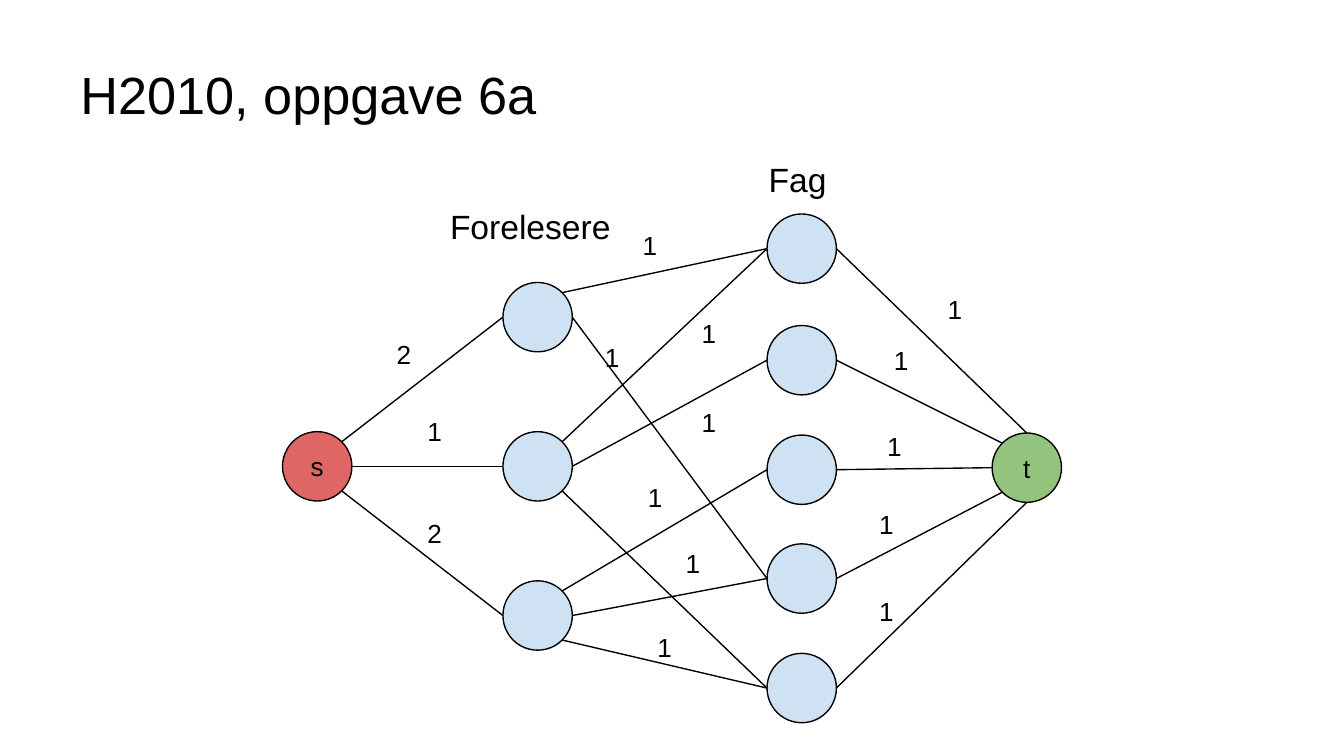
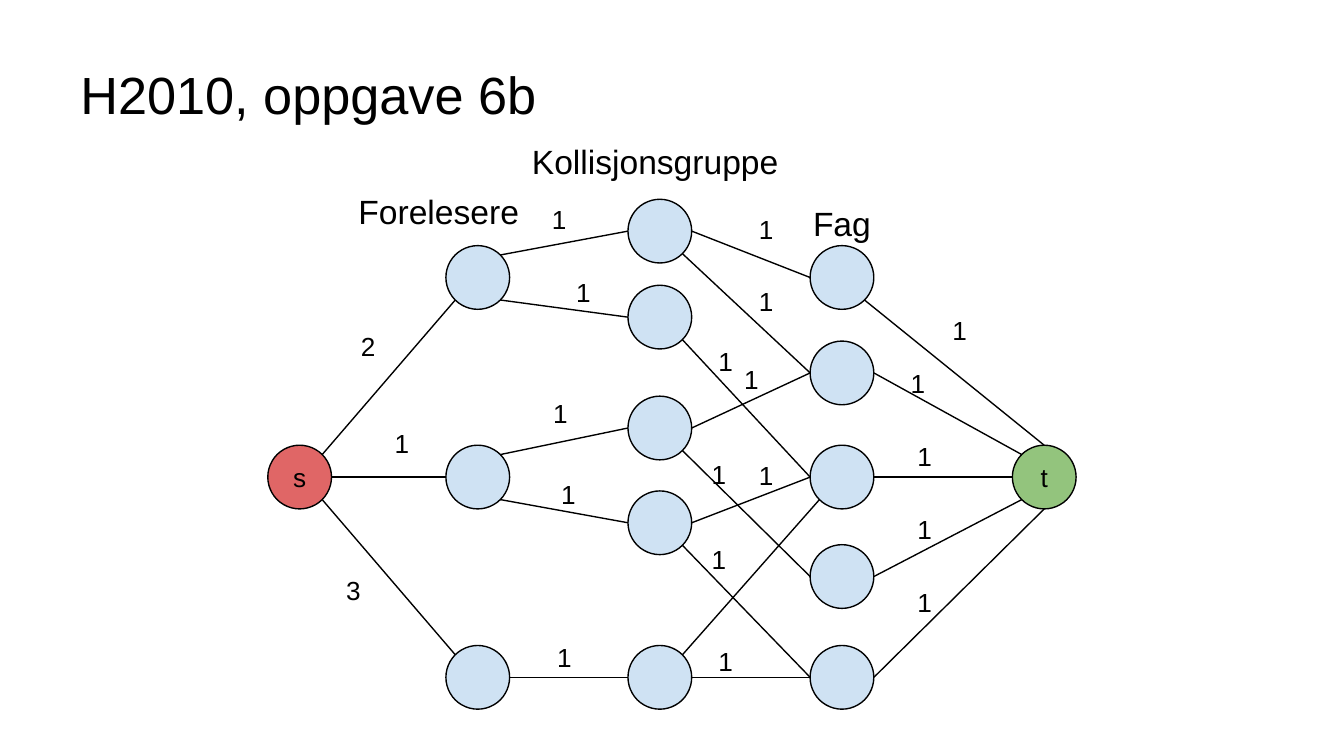
"""Build two flow network slides for H2010, tasks 6a and 6b."""
from dataclasses import dataclass
from math import cos, radians, sin
from typing import NamedTuple

from lxml import etree
from pptx import Presentation
from pptx.dml.color import RGBColor
from pptx.enum import shapes, text
from pptx.oxml.ns import qn
from pptx.util import Inches, Pt

COLS, ROWS = 100, 56.25
WIDE, HIGH = Inches(10), Inches(5.625)
LEFT, MID = text.PP_ALIGN.LEFT, text.PP_ALIGN.CENTER
TURNS = {"e": 0, "se": 45, "s": 90, "sw": 135, "w": 180, "nw": 225, "n": 270, "ne": 315}


@dataclass(frozen=True)
class Theme:
    font: str = "Arial"
    ink: str = "000000"
    source: str = "E06666"
    sink: str = "93C47D"
    node: str = "CFE2F3"
    title: int = 28
    head: int = 18
    label: int = 14
    line: float = 0.75


class Box(NamedTuple):
    left: float
    top: float
    width: float
    height: float


class Spot(NamedTuple):
    x: float
    y: float


class Layer(NamedTuple):
    key: str
    x: float
    rows: tuple[float, ...]


class Edge(NamedTuple):
    start: str
    out: str
    end: str
    into: str
    cost: str = ""
    x: float = 0
    y: float = 0


class Head(NamedTuple):
    words: str
    box: Box
    align: text.PP_ALIGN = MID


@dataclass(frozen=True)
class Graph:
    title: str
    size: float
    tag: float
    source: Spot
    sink: Spot
    layers: tuple[Layer, ...]
    edges: tuple[Edge, ...]
    heads: tuple[Head, ...]


THEME = Theme()
TITLE = Box(5, 2.3, 90, 9.4)
TALL = 4.8

FIRST = Graph(
    "H2010, oppgave 6a", 5.16, 4.5, Spot(23.6, 34.7), Spot(76.4, 34.8),
    (
        Layer("a", 40, (23.6, 34.7, 45.8)),
        Layer("b", 59.65, (18.5, 26.8, 34.95, 43.05, 51.2)),
    ),
    (
        Edge("s", "ne", "a1", "w", "2", 30.05, 26.6),
        Edge("s", "e", "a2", "w", "1", 32.35, 32.3),
        Edge("s", "se", "a3", "w", "2", 32.35, 39.9),
        Edge("a1", "ne", "b1", "w", "1", 48.35, 18.5),
        Edge("a1", "e", "b4", "w", "1", 45.55, 26.8),
        Edge("a2", "e", "b2", "w", "1", 52.75, 31.6),
        Edge("a2", "ne", "b1", "w", "1", 52.75, 25),
        Edge("a2", "se", "b5", "w"),
        Edge("a3", "ne", "b3", "w", "1", 48.75, 37.2),
        Edge("a3", "se", "b5", "w", "1", 49.45, 48.4),
        Edge("a3", "e", "b4", "w", "1", 51.55, 42.1),
        Edge("b1", "e", "t", "n", "1", 71.05, 23.2),
        Edge("b2", "e", "t", "nw", "1", 67.05, 27),
        Edge("b3", "e", "t", "w", "1", 66.55, 33.4),
        Edge("b4", "e", "t", "sw", "1", 65.95, 39.2),
        Edge("b5", "e", "t", "s", "1", 65.95, 45.7),
    ),
    (
        Head("Forelesere", Box(32.5, 14.3, 15.2, TALL), LEFT),
        Head("Fag", Box(53, 10.8, 12.7, TALL)),
    ),
)

SECOND = Graph(
    "H2010, oppgave 6b", 4.74, 5.4, Spot(22.3, 35.5), Spot(77.7, 35.5),
    (
        Layer("a", 35.55, (20.65, 35.5, 50.4)),
        Layer("b", 49.1, (17.2, 23.6, 31.85, 38.9, 50.4)),
        Layer("c", 62.65, (20.65, 27.75, 35.5, 42.9, 50.4)),
    ),
    (
        Edge("a1", "ne", "b1", "w", "1", 41.6, 16.5),
        Edge("a1", "se", "b2", "w", "1", 43.4, 22),
        Edge("b1", "e", "c1", "w", "1", 57, 17.3),
        Edge("b1", "se", "c2", "w", "1", 57, 22.6),
        Edge("b2", "se", "c3", "w", "1", 54, 27.1),
        Edge("s", "ne", "a1", "sw", "2", 27.4, 26),
        Edge("s", "e", "a2", "w", "1", 29.9, 33.2),
        Edge("s", "se", "a3", "nw", "3", 26.3, 44.1),
        Edge("a2", "ne", "b3", "w", "1", 41.7, 31),
        Edge("a2", "se", "b4", "w", "1", 42.3, 37),
        Edge("b3", "e", "c2", "w", "1", 55.9, 28.4),
        Edge("b3", "se", "c4", "w", "1", 53.5, 35.5),
        Edge("b4", "se", "c5", "w", "1", 53.5, 41.8),
        Edge("b4", "e", "c3", "w", "1", 57, 35.6),
        Edge("a3", "e", "b5", "w", "1", 42, 49.1),
        Edge("b5", "ne", "c3", "sw"),
        Edge("b5", "e", "c5", "w", "1", 54, 49.4),
        Edge("t", "n", "c1", "se", "1", 71.4, 24.8),
        Edge("t", "nw", "c2", "e", "1", 68.3, 28.7),
        Edge("t", "w", "c3", "e", "1", 68.8, 34.2),
        Edge("t", "sw", "c4", "e", "1", 68.8, 39.6),
        Edge("t", "s", "c5", "e", "1", 68.8, 45),
    ),
    (
        Head("Forelesere", Box(24, 13.2, 17.3, TALL)),
        Head("Kollisjonsgruppe", Box(37.9, 9.5, 21.7, TALL)),
        Head("Fag", Box(51.8, 14.1, 21.7, TALL)),
    ),
)


def across(cols: float) -> int:
    return round(WIDE * cols / COLS)


def down(rows: float) -> int:
    return round(HIGH * rows / ROWS)


def place(box: Box) -> tuple[int, int, int, int]:
    return across(box.left), down(box.top), across(box.width), down(box.height)


def around(spot: Spot, width: float, height: float) -> Box:
    return Box(spot.x - width / 2, spot.y - height / 2, width, height)


def rim(spot: Spot, size: float, port: str) -> tuple[int, int]:
    turn = radians(TURNS[port])
    return across(spot.x + size / 2 * cos(turn)), down(spot.y + size / 2 * sin(turn))


def write(shape, words: str, size: int, align=MID, anchor=text.MSO_ANCHOR.TOP) -> None:
    frame = shape.text_frame
    frame.text = words
    frame.word_wrap = True
    frame.vertical_anchor = anchor
    frame.margin_left = frame.margin_right = Inches(0.1)
    frame.margin_top = frame.margin_bottom = Inches(0.1)
    line = frame.paragraphs[0]
    line.alignment = align
    for run in line.runs:
        run.font.name = THEME.font
        run.font.size = Pt(size)
        run.font.color.rgb = RGBColor.from_string(THEME.ink)


def trace(shape) -> None:
    shape.line.color.rgb = RGBColor.from_string(THEME.ink)
    shape.line.width = Pt(THEME.line)


def note(slide, box: Box, words: str, size: int, align=MID, anchor=text.MSO_ANCHOR.TOP) -> None:
    write(slide.shapes.add_textbox(*place(box)), words, size, align, anchor)


def dot(slide, spot: Spot, size: float, fill: str, words: str = "") -> None:
    shape = slide.shapes.add_shape(shapes.MSO_SHAPE.OVAL, *place(around(spot, size, size)))
    shape.shadow.inherit = False
    shape.fill.solid()
    shape.fill.fore_color.rgb = RGBColor.from_string(fill)
    trace(shape)
    if words:
        write(shape, words, THEME.label, anchor=text.MSO_ANCHOR.MIDDLE)


def link(slide, edge: Edge, spots: dict[str, Spot], size: float) -> None:
    start = rim(spots[edge.start], size, edge.out)
    end = rim(spots[edge.end], size, edge.into)
    line = slide.shapes.add_connector(shapes.MSO_CONNECTOR.STRAIGHT, *start, *end)
    trace(line)
    etree.SubElement(line.element.spPr, qn("a:effectLst"))


def draw(deck, graph: Graph) -> None:
    slide = deck.slides.add_slide(deck.slide_layouts[6])
    note(slide, TITLE, graph.title, THEME.title, LEFT, text.MSO_ANCHOR.MIDDLE)
    spots = {"s": graph.source, "t": graph.sink}
    for layer in graph.layers:
        for rank, row in enumerate(layer.rows, 1):
            spots[f"{layer.key}{rank}"] = Spot(layer.x, row)
    ends = {"s": THEME.source, "t": THEME.sink}
    for key, spot in spots.items():
        dot(slide, spot, graph.size, ends.get(key, THEME.node), key if key in ends else "")
    for edge in graph.edges:
        link(slide, edge, spots, graph.size)
    for edge in graph.edges:
        if edge.cost:
            box = around(Spot(edge.x, edge.y), graph.tag, TALL)
            note(slide, box, edge.cost, THEME.label)
    for head in graph.heads:
        note(slide, head.box, head.words, THEME.head, head.align)


def main() -> None:
    deck = Presentation()
    deck.slide_width, deck.slide_height = WIDE, HIGH
    for graph in (FIRST, SECOND):
        draw(deck, graph)
    deck.save("out.pptx")


if __name__ == "__main__":
    main()
